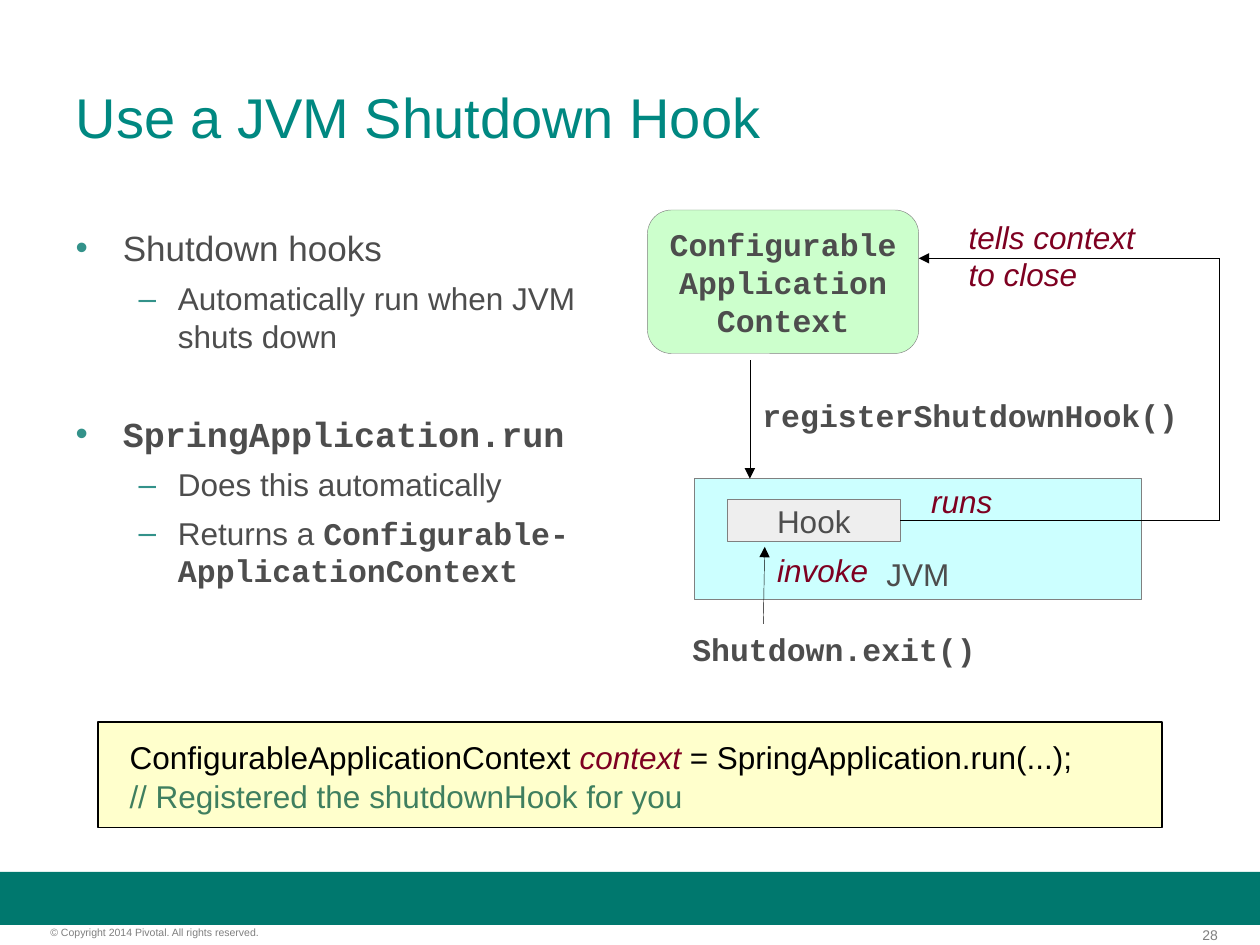
from lxml.etree import SubElement
from pptx import Presentation
from pptx.dml.color import RGBColor
from pptx.enum.shapes import MSO_CONNECTOR, MSO_SHAPE
from pptx.enum.text import MSO_ANCHOR as ANCHOR, PP_ALIGN as ALIGN
from pptx.oxml.ns import qn
from pptx.util import Pt

WHITE = RGBColor(0xFF, 0xFF, 0xFF)
BLACK = RGBColor(0x00, 0x00, 0x00)
TEAL = RGBColor(0x00, 0x78, 0x6E)
TITLE_TEAL = RGBColor(0x00, 0x88, 0x81)
BULLET_TEAL = RGBColor(0x33, 0x92, 0x8A)
TEXT_GRAY = RGBColor(0x4D, 0x4D, 0x4D)
FOOTER_GRAY = RGBColor(0x7F, 0x7F, 0x7F)
BORDER_GRAY = RGBColor(0x80, 0x80, 0x80)
MAROON = RGBColor(0x7E, 0x00, 0x21)
COMMENT_GREEN = RGBColor(0x3F, 0x7F, 0x5F)
CODE_YELLOW = RGBColor(0xFF, 0xFF, 0xCC)
CONTEXT_GREEN = RGBColor(0xCC, 0xFF, 0xCC)
JVM_CYAN = RGBColor(0xCC, 0xFF, 0xFF)
HOOK_GRAY = RGBColor(0xEE, 0xEE, 0xEE)

HAIRLINE = 0.25
PLAIN = {"name": "Arial", "size": Pt(18), "bold": False, "italic": False, "color": TEXT_GRAY}
MONO = PLAIN | {"name": "Courier New", "bold": True}
NOTE = PLAIN | {"italic": True, "color": MAROON}
CODE = PLAIN | {"color": BLACK}
FOOTER = PLAIN | {"color": FOOTER_GRAY}


def points(*values):
    return [Pt(value) for value in values]


def add_run(paragraph, text, style):
    for index, line in enumerate(text.split("\v")):
        if index:
            paragraph.add_line_break()
        run = paragraph.add_run()
        run.text = line
        for name, value in style.items():
            if name == "color":
                run.font.color.rgb = value
            else:
                setattr(run.font, name, value)


def set_frame(shape, anchor=ANCHOR.TOP, wrap=True, inset=(7.2, 3.6, 7.2, 3.6)):
    frame = shape.text_frame
    left, top, right, bottom = points(*inset)
    values = {"margin_left": left, "margin_top": top, "margin_right": right,
              "margin_bottom": bottom, "vertical_anchor": anchor, "word_wrap": wrap}
    for name, value in values.items():
        setattr(frame, name, value)
    return frame


def add_text(slide, box, text, style, align=ALIGN.LEFT, **frame_format):
    frame = set_frame(slide.shapes.add_textbox(*points(*box)), **frame_format)
    frame.paragraphs[0].alignment = align
    add_run(frame.paragraphs[0], text, style)


def add_box(slide, kind, box, fill, line=None, width=HAIRLINE):
    shape = slide.shapes.add_shape(kind, *points(*box))
    shape.shadow.inherit = False
    shape.fill.solid()
    shape.fill.fore_color.rgb = fill
    if line is None:
        shape.line.fill.background()
    else:
        shape.line.color.rgb = line
        shape.line.width = Pt(width)
    return shape


def add_labelled_box(slide, kind, box, fill, text, style, anchor=ANCHOR.MIDDLE):
    shape = add_box(slide, kind, box, fill, BORDER_GRAY)
    paragraph = set_frame(shape, anchor).paragraphs[0]
    paragraph.alignment = ALIGN.CENTER
    add_run(paragraph, text, style)
    return shape


def add_line(slide, start, end, arrow=False):
    line = slide.shapes.add_connector(MSO_CONNECTOR.STRAIGHT, *points(*start, *end))
    line.line.color.rgb = BLACK
    line.line.width = Pt(HAIRLINE)
    if arrow:
        SubElement(line.line._get_or_add_ln(), qn("a:tailEnd"), type="triangle")
    SubElement(line._element.spPr, qn("a:effectLst"))
    return line


def set_bullet(paragraph, character, left, hanging):
    properties = paragraph._p.get_or_add_pPr()
    properties.set("marL", str(Pt(left)))
    properties.set("indent", str(-Pt(hanging)))
    color = SubElement(properties, qn("a:buClr"))
    SubElement(color, qn("a:srgbClr"), val=str(BULLET_TEAL))
    SubElement(properties, qn("a:buChar"), char=character)


def place(shape, box):
    for name, value in zip(("left", "top", "width", "height"), points(*box)):
        setattr(shape, name, value)


def fill_title(slide, box):
    title = slide.shapes.title
    place(title, box)
    paragraph = set_frame(title, ANCHOR.MIDDLE).paragraphs[0]
    paragraph.alignment = ALIGN.LEFT
    add_run(paragraph, "Use a JVM Shutdown Hook",
            PLAIN | {"size": Pt(32), "color": TITLE_TEAL})


def fill_list(slide, box):
    body = slide.placeholders[1]
    place(body, box)
    frame = set_frame(body)
    large = {"size": Pt(20)}
    # level, space before, runs
    items = [
        (0, 0, [("Shutdown hooks", PLAIN | large)]),
        (1, 6, [("Automatically run when JVM shuts down", PLAIN)]),
        (0, 33, [("SpringApplication.run", MONO | large)]),
        (1, 6, [("Does this automatically", PLAIN)]),
        (1, 6, [("Returns a ", PLAIN), ("Configurable-ApplicationContext", MONO)]),
    ]
    bullets = [("•", 27, 27), ("–", 58.5, 22.5)]
    for index, (level, space, runs) in enumerate(items):
        paragraph = frame.add_paragraph() if index else frame.paragraphs[0]
        paragraph.level = level
        paragraph.space_before = Pt(space)
        set_bullet(paragraph, *bullets[level])
        for text, style in runs:
            add_run(paragraph, text, style)


def add_diagram(slide, left, top):
    def at(x, y, *size):
        return (left + x, top + y, *size)

    # Boxes
    add_labelled_box(slide, MSO_SHAPE.ROUNDED_RECTANGLE, at(0, 2, 155, 82),
                     CONTEXT_GREEN, "Configurable Application Context", MONO)
    add_labelled_box(slide, MSO_SHAPE.RECTANGLE, at(27, 155.5, 255, 69),
                     JVM_CYAN, "JVM", PLAIN, ANCHOR.BOTTOM)
    hook = add_labelled_box(slide, MSO_SHAPE.RECTANGLE, at(45.5, 167.5, 99, 24),
                            HOOK_GRAY, "Hook", PLAIN)

    # Register and invoke arrows
    add_line(slide, at(58.5, 88), at(58.5, 155.5), arrow=True)
    add_line(slide, at(66.2, 238.5), at(67, 194.5), arrow=True)

    # Path from the hook back to the context
    add_line(slide, at(144.5, 179.5), at(327, 179.5)).begin_connect(hook, 3)
    add_line(slide, at(327, 179.5), at(327, 29.6))
    add_line(slide, at(327, 29.6), at(155, 29.6), arrow=True)

    # Labels
    add_text(slide, at(58.5, 105, 258.5, 36), "registerShutdownHook()", MONO)
    add_text(slide, at(18.5, 238.5, 176.5, 29), "Shutdown.exit()", MONO,
             anchor=ANCHOR.MIDDLE, wrap=False)
    notes = [("invoke", (67, 193, 72, 29)), ("runs", (155, 153.5, 66, 29)),
             ("tells context\vto close", (176.5, 0, 130, 56))]
    for text, box in notes:
        add_text(slide, at(*box), text, NOTE, anchor=ANCHOR.MIDDLE)


def add_code(slide, box):
    shape = add_box(slide, MSO_SHAPE.RECTANGLE, box, CODE_YELLOW, BLACK, 1)
    frame = set_frame(shape, ANCHOR.MIDDLE, inset=(13, 9.4, 7.2, 3.6))
    lines = [
        [(" ConfigurableApplicationContext ", CODE), ("context", NOTE),
         (" = SpringApplication.run(...);", CODE)],
        [(" // Registered the shutdownHook for you", CODE | {"color": COMMENT_GREEN})],
    ]
    for index, runs in enumerate(lines):
        paragraph = frame.add_paragraph() if index else frame.paragraphs[0]
        paragraph.alignment = ALIGN.LEFT
        paragraph.line_spacing = 0.8
        paragraph.space_before = Pt(5 if index else 0)
        for text, style in runs:
            add_run(paragraph, text, style)


def add_footer(slide, left, top, width):
    add_box(slide, MSO_SHAPE.RECTANGLE, (left, top, width, 30.4), TEAL)
    flush = {"inset": (0, 0, 0, 0)}
    add_text(slide, (left + 28.8, top + 31, 180, 7.2),
             "© Copyright 2014 Pivotal. All rights reserved.",
             FOOTER | {"size": Pt(6)}, **flush)
    add_text(slide, (left + width - 66, top + 31, 42, 9.4), "28",
             FOOTER | {"size": Pt(8)}, ALIGN.RIGHT, **flush)


def main():
    presentation = Presentation()
    presentation.slide_width, presentation.slide_height = points(720, 540)
    slide = presentation.slides.add_slide(presentation.slide_layouts[1])
    slide.background.fill.solid()
    slide.background.fill.fore_color.rgb = WHITE
    add_footer(slide, 0, 498.2, 720)
    fill_title(slide, (36, 21.6, 648, 90))
    add_code(slide, (56, 412.5, 608, 60.5))
    fill_list(slide, (36, 126, 316, 356.5))
    add_diagram(slide, 370, 118)
    presentation.save("out.pptx")


if __name__ == "__main__":
    main()
